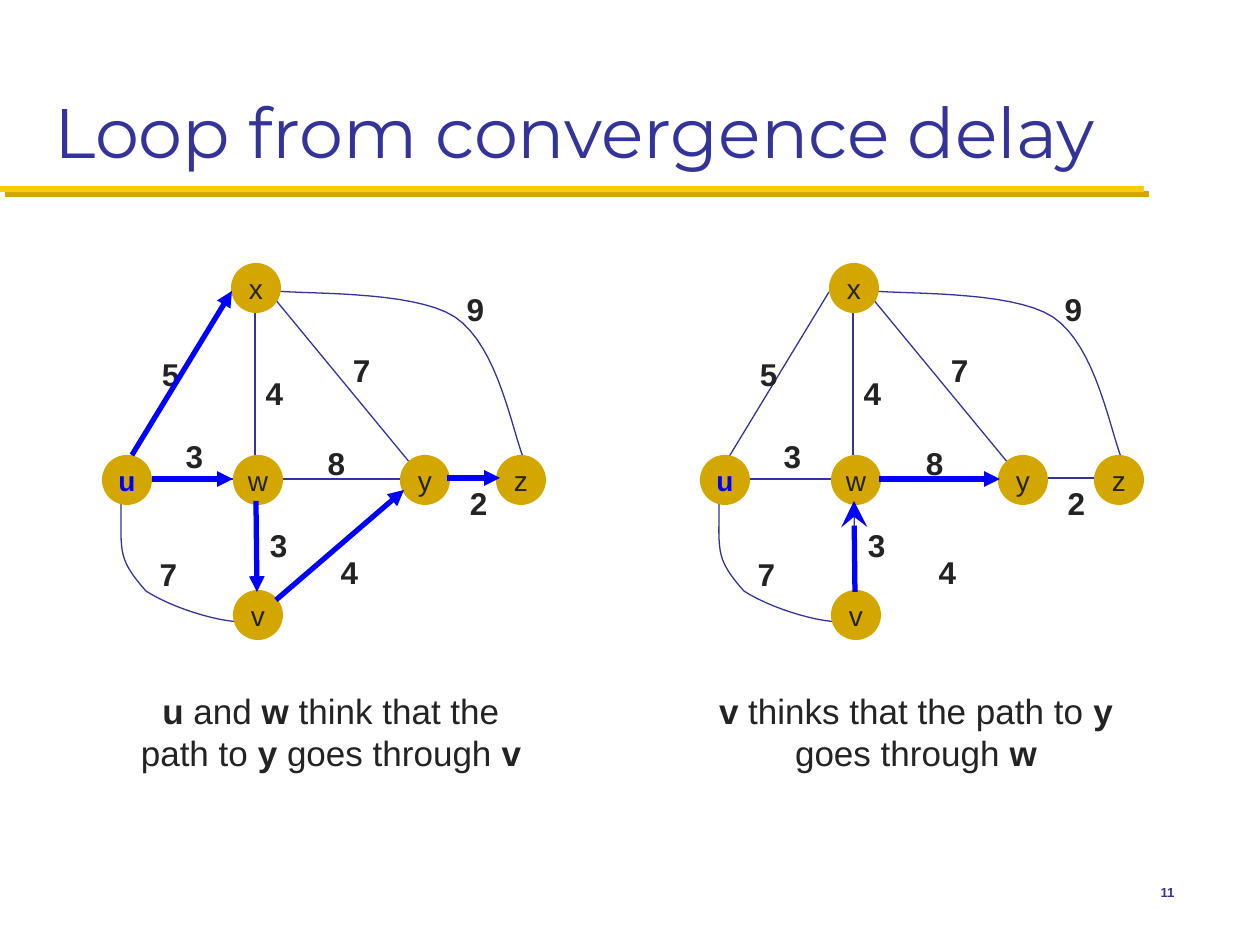
from lxml import etree
from pptx import Presentation
from pptx.dml.color import RGBColor
from pptx.enum.shapes import MSO_CONNECTOR, MSO_SHAPE
from pptx.enum.text import MSO_ANCHOR, PP_ALIGN
from pptx.oxml.ns import qn
from pptx.util import Pt

STRAIGHT, OVAL = MSO_CONNECTOR.STRAIGHT, MSO_SHAPE.OVAL
TOP, MIDDLE, BOTTOM = MSO_ANCHOR.TOP, MSO_ANCHOR.MIDDLE, MSO_ANCHOR.BOTTOM
LEFT, CENTER, RIGHT = PP_ALIGN.LEFT, PP_ALIGN.CENTER, PP_ALIGN.RIGHT

THEME = {
    "navy": "333399", "yellow": "FFCB05", "gold": "D3A600",
    "ink": "232323", "blue": "0000FF",
    "heading": "Montserrat", "body": "Arial",
    "title": 40, "caption": 20, "cost": 18, "node": 16, "number": 7.5,
    "thin": 0.75, "thick": 3, "rule": 3.5,
}

# Content
TITLE = "Loop from convergence delay"
PAGE_NUMBER = "11"
NODE_CENTRES = {"x": (256, 288), "u": (127, 480), "z": (521, 480),
                "v": (258, 615), "y": (425, 480), "w": (258, 480)}
CHOSEN_NODE = "u"
COSTS = [("3", 173, 431), ("4", 253, 368), ("5", 149, 349), ("3", 257, 520),
         ("7", 147, 549), ("4", 328, 547), ("8", 315, 438), ("2", 457, 478),
         ("7", 340, 345), ("9", 454, 284)]
EDGES = [(142, 479, 243, 479), (255, 302, 255, 461), (231, 292, 123, 470),
         (256, 488, 257, 604), (447, 478, 503, 478), (265, 287, 420, 475),
         (281, 479, 402, 479)]
# Each curve: a start point, then two Bezier segments of three points
CURVES = [
    [(121, 490), (122, 551), (115, 556), (146, 591),
     (178, 612), (248, 631), (258, 617)],
    [(265, 290), (297, 295), (412, 289), (455, 317),
     (499, 347), (512, 432), (525, 462)],
]
GRAPHS = [
    {"shift": 0,
     "routes": [(447, 478, 500, 478, "triangle", "med"),
                (256, 501, 257, 592, "triangle", "med"),
                (132, 455, 232, 291, "triangle", "med"),
                (152, 479, 233, 479, "triangle", "med"),
                (276, 600, 404, 490, "triangle", "med")],
     "caption_left": 116,
     "caption": [("u", True), (" and ", False), ("w", True),
                 (" think that the path to ", False), ("y", True),
                 (" goes through ", False), ("v", True)]},
    {"shift": 598,
     "routes": [(281, 479, 402, 479, "triangle", "med"),
                (257, 592, 256, 501, "stealth", "lg")],
     "caption_left": 701,
     "caption": [("v", True), (" thinks that the path to ", False),
                 ("y", True), (" goes through ", False), ("w", True)]},
]
NODE_SIZE = 50
COST_SIZE = (43, 49)
CURVE_STEPS = 16
SCALE = 914400 / 126


def emu(*pixels):
    return [round(pixel * SCALE) for pixel in pixels]


def color(name):
    return RGBColor.from_string(THEME[name])


def write(shape, spans, size, ink="ink", face="body", bold=None,
          align=CENTER, anchor=TOP, wrap=True):
    frame = shape.text_frame
    frame.word_wrap = wrap
    frame.vertical_anchor = anchor
    para = frame.paragraphs[0]
    para.alignment = align
    para.font.name = THEME[face]
    para.font.size = Pt(THEME[size])
    para.font.color.rgb = color(ink)
    para.font.bold = bold
    for text, strong in spans:
        span = para.add_run()
        span.text = text
        if strong is not None:
            span.font.bold = strong


def add_text(shapes, place, spans, size, **style):
    write(shapes.add_textbox(*emu(*place)), spans, size, **style)


def add_line(shapes, ends, ink, width, head=None, head_size="med"):
    line = shapes.add_connector(STRAIGHT, *emu(*ends))
    line.line.color.rgb = color(ink)
    line.line.width = Pt(THEME[width])
    if head:
        etree.SubElement(line.line._get_or_add_ln(), qn("a:tailEnd"),
                         type=head, w=head_size, len=head_size)
    etree.SubElement(line._element.spPr, qn("a:effectLst"))


def bezier(a, b, c, d, t):
    s = 1 - t
    return [s**3 * i + 3 * s * s * t * j + 3 * s * t * t * k + t**3 * m
            for i, j, k, m in zip(a, b, c, d)]


def add_curve(shapes, points, shift):
    trace = [points[0]]
    for start in range(0, len(points) - 1, 3):
        trace += [bezier(*points[start:start + 4], step / CURVE_STEPS)
                  for step in range(1, CURVE_STEPS + 1)]
    trace = [emu(x + shift, y) for x, y in trace]
    builder = shapes.build_freeform(*trace[0], scale=1.0)
    builder.add_line_segments(trace[1:], close=False)
    curve = builder.convert_to_shape()
    curve.shadow.inherit = False
    curve.fill.background()
    curve.line.color.rgb = color("navy")
    curve.line.width = Pt(THEME["thin"])


def add_node(shapes, name, x, y):
    half = NODE_SIZE / 2
    node = shapes.add_shape(OVAL, *emu(x - half, y - half, NODE_SIZE, NODE_SIZE))
    node.shadow.inherit = False
    node.fill.solid()
    node.fill.fore_color.rgb = color("gold")
    node.line.fill.background()
    frame = node.text_frame
    frame.margin_left = frame.margin_right = 0
    frame.margin_top = frame.margin_bottom = 0
    chosen = name == CHOSEN_NODE
    write(node, [(name, None)], "node", ink="blue" if chosen else "ink",
          bold=chosen, anchor=MIDDLE, wrap=False)


def add_graph(page, graph):
    shift = graph["shift"]
    shapes = page.shapes.add_group_shape().shapes

    def moved(ends):
        return ends[0] + shift, ends[1], ends[2] + shift, ends[3]

    for ends in EDGES:
        add_line(shapes, moved(ends), "navy", "thin")
    for points in CURVES:
        add_curve(shapes, points, shift)
    for cost, x, y in COSTS:
        add_text(shapes, (x + shift, y, *COST_SIZE), [(cost, None)], "cost",
                 bold=True, wrap=False)
    for name, (x, y) in NODE_CENTRES.items():
        add_node(shapes, name, x + shift, y)
    for *ends, head, head_size in graph["routes"]:
        add_line(shapes, moved(ends), "blue", "thick", head, head_size)
    add_text(page.shapes, (graph["caption_left"], 683, 430, 97),
             graph["caption"], "caption")


deck = Presentation()
deck.slide_width, deck.slide_height = emu(1260, 945)
page = deck.slides.add_slide(deck.slide_layouts[6])

# Title and double rule
add_line(page.shapes, (5, 194, 1149, 194), "gold", "rule")
add_line(page.shapes, (0, 189, 1144, 189), "yellow", "rule")
add_text(page.shapes, (42, 21, 1176, 158), [(TITLE, None)], "title",
         ink="navy", face="heading", align=LEFT, anchor=BOTTOM)

# Two views of the network
for graph in GRAPHS:
    add_graph(page, graph)

# Page number
add_text(page.shapes, (1103, 861, 84, 63), [(PAGE_NUMBER, None)], "number",
         ink="navy", bold=True, align=RIGHT, anchor=MIDDLE)

deck.save("out.pptx")
